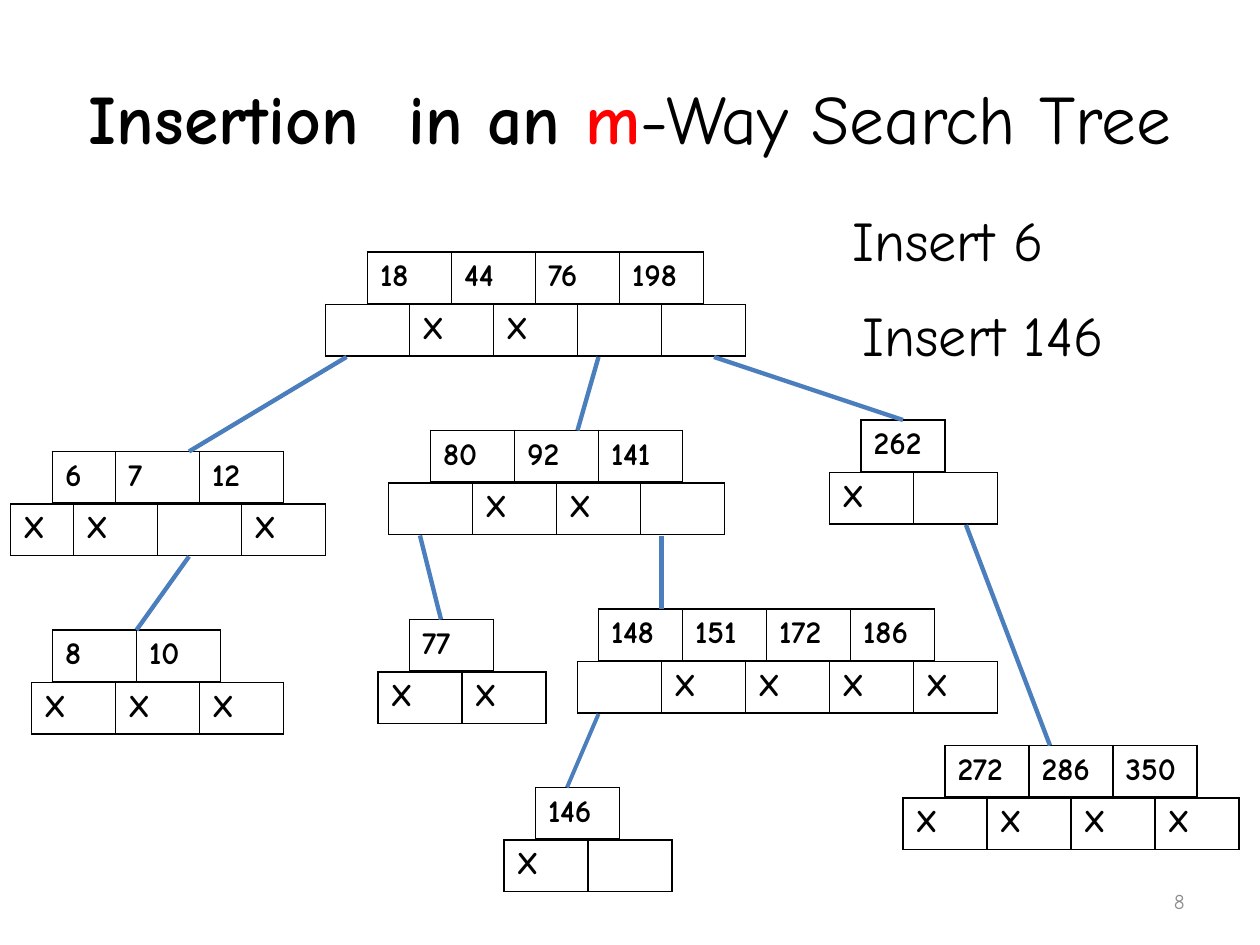
"""Build the slide on insertion in an m-way search tree."""
from lxml.etree import SubElement
from pptx import Presentation
from pptx.dml.color import RGBColor
from pptx.enum.shapes import MSO_CONNECTOR
from pptx.enum.text import MSO_ANCHOR, PP_ALIGN
from pptx.oxml.ns import qn
from pptx.util import Pt

BLACK = RGBColor(0x00, 0x00, 0x00)
WHITE = RGBColor(0xFF, 0xFF, 0xFF)
RED = RGBColor(0xFF, 0x00, 0x00)
BLUE = RGBColor(0x4B, 0x7E, 0xBC)
GRAY = RGBColor(0x8C, 0x8C, 0x8C)

FACE = "Comic Neue"
TITLE = {"name": FACE, "size": Pt(39.6), "bold": True}
PLAIN = {**TITLE, "bold": False}
CELL = {"name": FACE, "size": Pt(18), "bold": True}
NOTE = {"name": FACE, "size": Pt(32), "bold": False}
PAGE = {"name": FACE, "size": Pt(12), "bold": False}

WIDE, HIGH, STEP = 48, 29.5, 30

# Each node: left of keys, left of links, top, cell width, keys, links
NODES = [
    (210, 186, 144, WIDE, ["18", "44", "76", "198"], ["", "X", "X", "", ""]),
    (30, 6, 258, 36, ["6"], ["X"]),
    (66, 42, 258, WIDE, ["7", "12"], ["X", "", "X"]),
    (246, 222, 246, WIDE, ["80", "92", "141"], ["", "X", "X", ""]),
    (492, 474, 240, WIDE, ["262"], ["X", ""]),
    (30, 18, 360, WIDE, ["8", "10"], ["X"] * 3),
    (234, 216, 354, WIDE, ["77"], ["X"] * 2),
    (342, 330, 348, WIDE, ["148", "151", "172", "186"], [""] + ["X"] * 4),
    (540, 516, 426, WIDE, ["272", "286", "350"], ["X"] * 4),
    (306, 288, 450, WIDE, ["146"], ["X", ""]),
]

EDGES = [
    (198, 204, 108, 258, 2.5),
    (342, 204, 330, 246, 2.5),
    (408, 204, 516, 240, 2.5),
    (108, 318, 78, 360, 2.5),
    (240, 306, 252, 354, 2.5),
    (378, 306, 378, 348, 2.5),
    (552, 300, 600, 426, 2.5),
    (342, 408, 324, 450, 2.25),
]


def add_run(para, text, style, color=BLACK):
    """Add a run of text in the given style and colour."""
    run = para.add_run()
    run.text = text
    for key, value in style.items():
        setattr(run.font, key, value)
    run.font.color.rgb = color


def add_text(slide, place, runs, align=PP_ALIGN.LEFT, anchor=MSO_ANCHOR.TOP):
    """Add a text box with one line of styled runs."""
    frame = slide.shapes.add_textbox(*map(Pt, place)).text_frame
    frame.word_wrap = True
    frame.vertical_anchor = anchor
    para = frame.paragraphs[0]
    para.alignment = align
    for run in runs:
        add_run(para, *run)


def add_frame(cell):
    """Draw a thin black border on each side of a cell."""
    props = cell._tc.get_or_add_tcPr()
    for side in ("lnL", "lnR", "lnT", "lnB"):
        line = SubElement(props, qn(f"a:{side}"), w=str(Pt(1)))
        fill = SubElement(line, qn("a:solidFill"))
        SubElement(fill, qn("a:srgbClr"), val=str(BLACK))


def add_row(slide, left, top, wide, texts):
    """Add a table of one row with equal cells."""
    place = map(Pt, (left, top, wide * len(texts), HIGH))
    table = slide.shapes.add_table(1, len(texts), *place).table
    table.first_row = table.horz_banding = False
    for cell, column, text in zip(table.iter_cells(), table.columns, texts):
        column.width = Pt(wide)
        add_frame(cell)
        cell.fill.solid()
        cell.fill.fore_color.rgb = WHITE
        if text:
            add_run(cell.text_frame.paragraphs[0], text, CELL)


def add_node(slide, left, start, top, wide, keys, links):
    """Add a tree node: a row of keys above a row of links."""
    add_row(slide, left, top, wide, keys)
    add_row(slide, start, top + STEP, wide, links)


def add_edge(slide, *ends, width):
    """Add a blue line from a link to its child node."""
    edge = slide.shapes.add_connector(MSO_CONNECTOR.STRAIGHT, *map(Pt, ends))
    edge.line.color.rgb = BLUE
    edge.line.width = Pt(width)
    SubElement(edge._element.spPr, qn("a:effectLst"))


def main():
    """Build and save the slide."""
    deck = Presentation()
    deck.slide_width, deck.slide_height = Pt(720), Pt(540)
    slide = deck.slides.add_slide(deck.slide_layouts[6])
    title = [
        ("Insertion  in an ", TITLE),
        ("m", TITLE, RED),
        ("-Way Search Tree", PLAIN),
    ]
    add_text(slide, (36, 21.6, 648, 90), title, PP_ALIGN.CENTER, MSO_ANCHOR.MIDDLE)
    for node in NODES:
        add_node(slide, *node)
    for *ends, width in EDGES:
        add_edge(slide, *ends, width=width)
    add_text(slide, (480, 114, 198, 46), [("Insert 6", NOTE)])
    add_text(slide, (486, 168, 198, 46), [("Insert 146", NOTE)])
    add_text(slide, (516, 500.5, 168, 28.75), [("8", PAGE, GRAY)],
             PP_ALIGN.RIGHT, MSO_ANCHOR.MIDDLE)
    deck.save("out.pptx")


if __name__ == "__main__":
    main()
